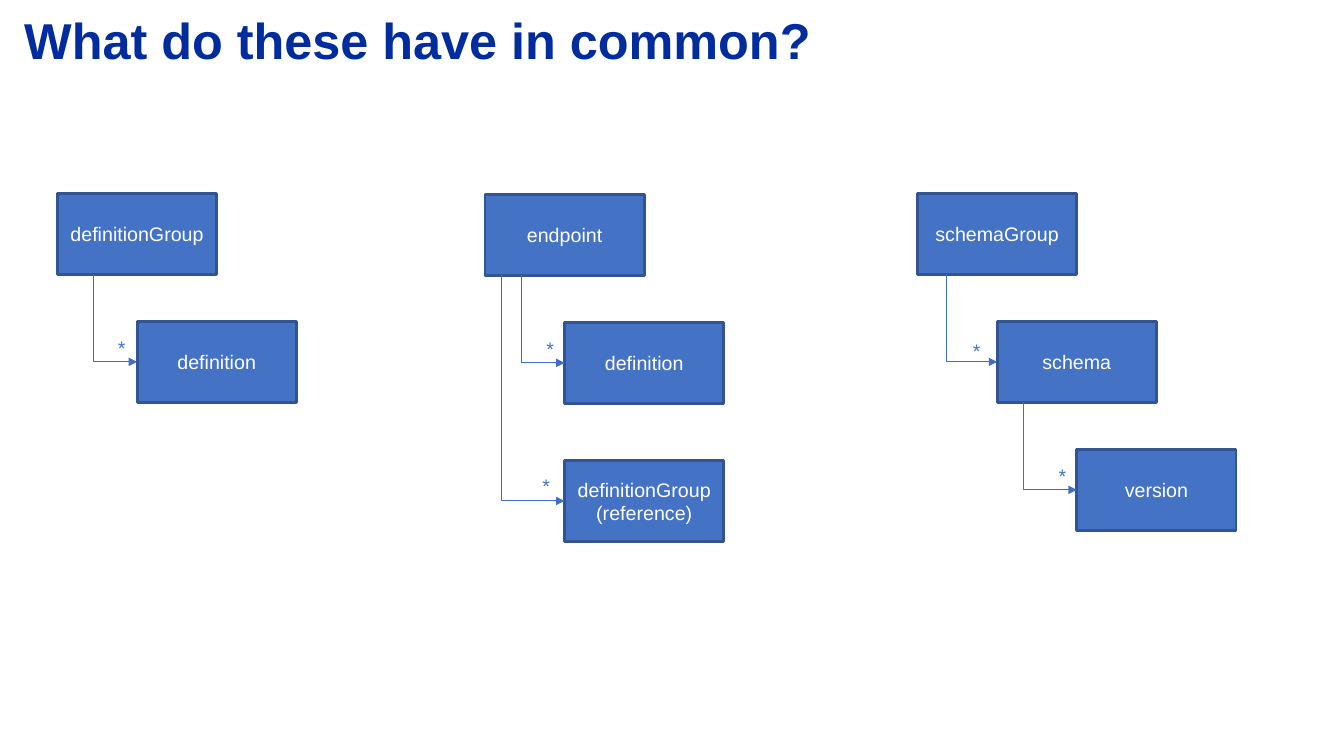
from dataclasses import dataclass

from lxml.etree import SubElement
from pptx import Presentation
from pptx.dml.color import RGBColor
from pptx.enum.shapes import MSO_CONNECTOR as Connector, MSO_SHAPE as Shape
from pptx.enum.text import MSO_ANCHOR as Anchor, MSO_AUTO_SIZE as AutoSize, PP_ALIGN as Align
from pptx.oxml.ns import qn
from pptx.shapes.group import GroupShape
from pptx.slide import Slide
from pptx.text.text import TextFrame
from pptx.util import Inches, Pt


@dataclass(frozen=True)
class Theme:
    font: str = "Arial"
    title: str = "002C9D"
    fill: str = "4472C4"
    border: str = "325491"
    link: str = "3F6FC3"
    label: str = "FFFFFF"
    title_size: int = 36
    label_size: int = 14
    border_width: float = 2
    link_width: float = 0.75


@dataclass(frozen=True)
class Node:
    name: str
    left: float
    top: float


@dataclass(frozen=True)
class Link:
    parent: Node
    child: Node
    trunk: float  # x of the vertical part
    star_left: float
    star_top: float


@dataclass(frozen=True)
class Tree:
    nodes: list[Node]
    links: list[Link]


THEME = Theme()
NODE_WIDTH, NODE_HEIGHT = 1.58, 0.8
STEP_X, STEP_Y = 0.79, 1.27
STAR_WIDTH, STAR_HEIGHT = 0.28, 0.34


def below(parent: Node, name: str, drop: float = STEP_Y) -> Node:
    return Node(name, parent.left + STEP_X, parent.top + drop)


def style_text(frame: TextFrame, size: float, color: str, align: Align, bold: bool = False) -> None:
    formats = {"name": THEME.font, "size": Pt(size), "bold": bold}
    for para in frame.paragraphs:
        para.alignment = align
        for key, value in formats.items():
            setattr(para.font, key, value)
        para.font.color.rgb = RGBColor.from_string(color)


def draw_title(page: Slide, text: str) -> None:
    title = page.shapes.title
    place = {"left": 0.14, "top": 0, "width": 11.5, "height": 0.86}
    for key, value in place.items():
        setattr(title, key, Inches(value))
    frame = title.text_frame
    frame.text = text
    frame.auto_size = AutoSize.NONE
    frame.vertical_anchor = Anchor.MIDDLE
    frame.paragraphs[0].line_spacing = 0.9
    style_text(frame, THEME.title_size, THEME.title, Align.LEFT, bold=True)


def draw_node(group: GroupShape, node: Node) -> None:
    box = group.shapes.add_shape(Shape.RECTANGLE, Inches(node.left), Inches(node.top),
                                 Inches(NODE_WIDTH), Inches(NODE_HEIGHT))
    box.shadow.inherit = False
    box.fill.solid()
    box.fill.fore_color.rgb = RGBColor.from_string(THEME.fill)
    box.line.color.rgb = RGBColor.from_string(THEME.border)
    box.line.width = Pt(THEME.border_width)
    box.text_frame.text = node.name
    box.text_frame.word_wrap = True
    box.text_frame.vertical_anchor = Anchor.MIDDLE
    style_text(box.text_frame, THEME.label_size, THEME.label, Align.CENTER)


def draw_link(group: GroupShape, link: Link) -> None:
    # A quarter turn makes the elbow go down first, then right
    start_y = link.parent.top + NODE_HEIGHT
    end_y = link.child.top + NODE_HEIGHT / 2
    across, down = link.child.left - link.trunk, end_y - start_y
    center_x, center_y = link.trunk + across / 2, start_y + down / 2
    elbow = group.shapes.add_connector(
        Connector.ELBOW,
        Inches(center_x - down / 2), Inches(center_y - across / 2),
        Inches(center_x + down / 2), Inches(center_y + across / 2))
    elbow.line.color.rgb = RGBColor.from_string(THEME.link)
    elbow.line.width = Pt(THEME.link_width)
    properties = elbow._element.spPr
    properties.find(qn("a:prstGeom")).set("prst", "bentConnector2")
    for key, value in {"rot": "16200000", "flipH": "1"}.items():
        properties.find(qn("a:xfrm")).set(key, value)
    SubElement(properties.find(qn("a:ln")), qn("a:tailEnd"), type="triangle")
    SubElement(properties, qn("a:effectLst"))

    # Multiplicity mark
    star = group.shapes.add_textbox(Inches(link.star_left), Inches(link.star_top),
                                    Inches(STAR_WIDTH), Inches(STAR_HEIGHT))
    star.text_frame.text = "*"
    star.text_frame.word_wrap = False
    star.text_frame.auto_size = AutoSize.SHAPE_TO_FIT_TEXT
    style_text(star.text_frame, THEME.label_size, THEME.fill, Align.LEFT)


def draw_tree(page: Slide, tree: Tree) -> None:
    group = page.shapes.add_group_shape()
    for node in tree.nodes:
        draw_node(group, node)
    for link in tree.links:
        draw_link(group, link)


def build_trees() -> list[Tree]:
    # Definition group
    definition_group = Node("definitionGroup", 0.57, 1.92)
    definition = below(definition_group, "definition")

    # Endpoint
    endpoint = Node("endpoint", 4.81, 1.93)
    endpoint_definition = below(endpoint, "definition")
    reference = below(endpoint, "definitionGroup\n(reference)", drop=2.64)

    # Schema group
    schema_group = Node("schemaGroup", 9.1, 1.92)
    schema = below(schema_group, "schema")
    version = below(schema, "version")

    return [
        Tree([definition_group, definition],
             [Link(definition_group, definition, 0.93, 1.07, 3.28)]),
        Tree([endpoint, endpoint_definition, reference],
             [Link(endpoint, reference, 4.97, 5.28, 4.65),
              Link(endpoint, endpoint_definition, 5.17, 5.32, 3.29)]),
        Tree([schema_group, schema, version],
             [Link(schema, version, 10.15, 10.4, 4.55),
              Link(schema_group, schema, 9.39, 9.55, 3.31)]),
    ]


def main() -> None:
    deck = Presentation()
    deck.slide_width, deck.slide_height = Inches(13.33), Inches(7.5)
    page = deck.slides.add_slide(deck.slide_layouts.get_by_name("Title Only"))
    draw_title(page, "What do these have in common?")
    for tree in build_trees():
        draw_tree(page, tree)
    deck.save("out.pptx")


if __name__ == "__main__":
    main()
